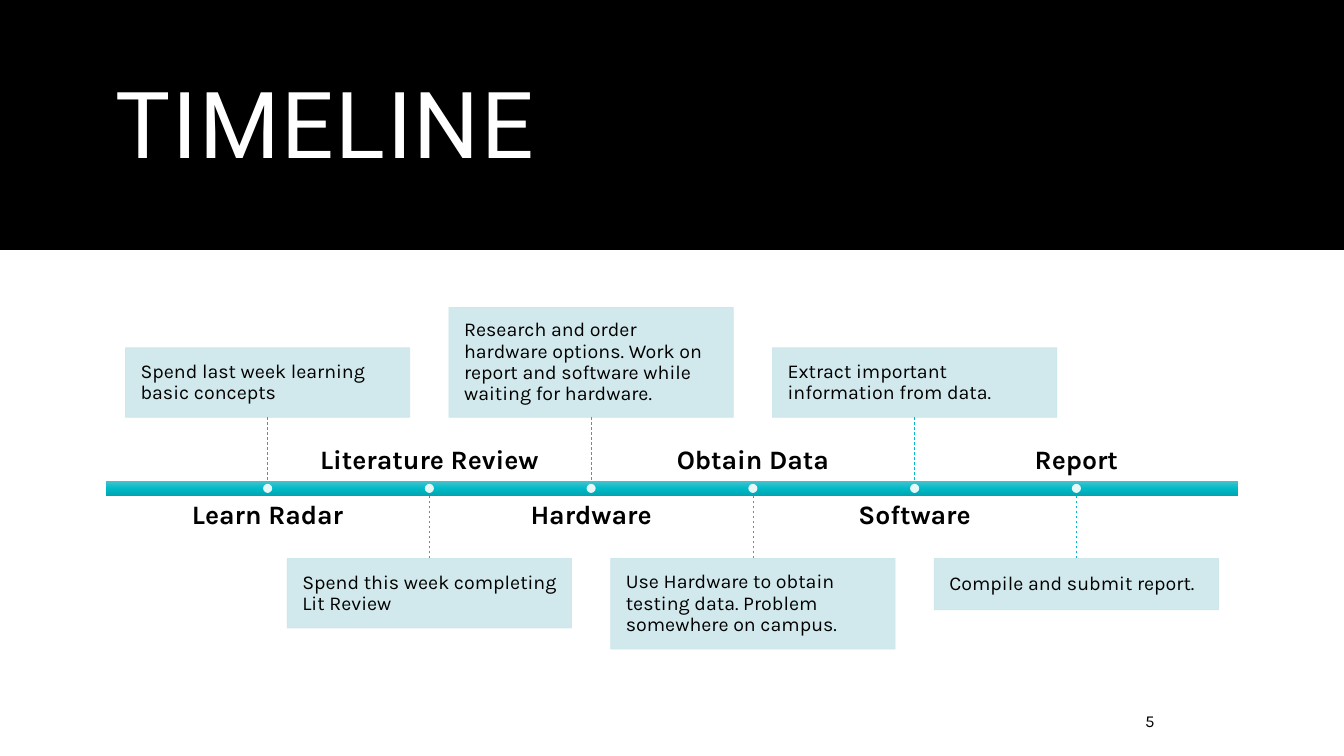
from copy import deepcopy

from pptx import Presentation
from pptx.dml.color import RGBColor
from pptx.enum.dml import MSO_LINE
from pptx.enum.shapes import MSO_CONNECTOR, MSO_SHAPE
from pptx.enum.text import MSO_ANCHOR, MSO_AUTO_SIZE, PP_ALIGN
from pptx.oxml.ns import qn
from pptx.oxml.xmlchemy import OxmlElement
from pptx.util import Inches, Pt

RECT, OVAL = MSO_SHAPE.RECTANGLE, MSO_SHAPE.OVAL
STRAIGHT, DASH = MSO_CONNECTOR.STRAIGHT, MSO_LINE.DASH
TOP, MIDDLE, BOTTOM = MSO_ANCHOR.TOP, MSO_ANCHOR.MIDDLE, MSO_ANCHOR.BOTTOM
LEFT, CENTER = PP_ALIGN.LEFT, PP_ALIGN.CENTER

BLACK = RGBColor(0x00, 0x00, 0x00)
WHITE = RGBColor(0xFF, 0xFF, 0xFF)
PALE = RGBColor(0xCC, 0xE7, 0xEB)
TEAL = RGBColor(0x00, 0xBA, 0xC7)
LIGHT = RGBColor(0x4B, 0xC2, 0xCF)
DARK = RGBColor(0x00, 0xA5, 0xB1)

BAR_X, BAR_Y, BAR_W, BAR_H = 1.05, 4.77, 11.23, 0.15
BOX_W, BOX_LOW, BOX_HIGH = 2.82, 5.54, 4.14  # top of low row, bottom of high row
NAME_W, NAME_H = 2.57, 0.42
DOT = 0.09

# Name, note, height of note box; notes alternate above and below the bar
STEPS = [
    ("Learn Radar", "Spend last week learning basic concepts", 0.69),
    ("Literature Review", "Spend this week completing Lit Review", 0.69),
    ("Hardware", "Research and order hardware options. Work on report "
     "and software while waiting for hardware.", 1.09),
    ("Obtain Data", "Use Hardware to obtain testing data. "
     "Problem somewhere on campus.", 0.9),
    ("Software", "Extract important information from data.", 0.69),
    ("Report", "Compile and submit report.", 0.51),
]


def set_alpha(fill, percent):
    """Make a solid fill partly transparent."""
    alpha = OxmlElement("a:alpha")
    alpha.set("val", str(percent * 1000))
    fill.find(qn("a:solidFill"))[0].append(alpha)


def add_block(slide, kind, x, y, w, h, color):
    block = slide.shapes.add_shape(kind, Inches(x), Inches(y), Inches(w), Inches(h))
    block.shadow.inherit = False
    block.fill.solid()
    block.fill.fore_color.rgb = color
    block.line.fill.background()
    return block


def set_text(shape, text, size, color=BLACK, font="Karla", bold=False,
             align=LEFT, anchor=MIDDLE, insets=(0.1, 0.05, 0.1, 0.05), spacing=0.9):
    frame = shape.text_frame
    frame.word_wrap = True
    frame.auto_size = MSO_AUTO_SIZE.NONE
    frame.vertical_anchor = anchor
    (frame.margin_left, frame.margin_top,
     frame.margin_right, frame.margin_bottom) = map(Inches, insets)
    para = frame.paragraphs[0]
    para.alignment = align
    para.line_spacing = spacing
    run = para.add_run()
    run.text = text
    run.font.name = font
    run.font.size = Pt(size)
    run.font.bold = bold
    run.font.color.rgb = color
    return run


def add_label(slide, x, y, w, h, text, size, **style):
    label = slide.shapes.add_textbox(Inches(x), Inches(y), Inches(w), Inches(h))
    set_text(label, text, size, **style)


def add_title(slide, text):
    title = slide.shapes.title
    title.left, title.top = Inches(1.05), Inches(0.35)
    title.width, title.height = Inches(11.23), Inches(1.86)
    run = set_text(title, text, 66, color=WHITE, font="Roboto")
    run.font._element.set("spc", "120")


def add_bar(slide):
    bar = add_block(slide, RECT, BAR_X, BAR_Y, BAR_W, BAR_H, TEAL)
    bar.fill.gradient()
    bar.fill.gradient_angle = 270
    stops = bar._element.spPr.find(".//" + qn("a:gsLst"))
    stops.insert(1, deepcopy(stops[0]))
    for stop, place, color in zip(bar.fill.gradient_stops, (0, 0.5, 1),
                                  (LIGHT, TEAL, DARK)):
        stop.position = place
        stop.color.rgb = color


def add_note(slide, mid, y, height, text):
    note = add_block(slide, RECT, mid - BOX_W / 2, y, BOX_W, height, PALE)
    note.line.color.rgb = PALE
    note.line.width = Pt(0.5)
    set_alpha(note._element.spPr, 90)
    set_alpha(note.line._ln, 90)
    set_text(note, text, 14, insets=(0.15, 0.15, 0.12, 0.15))
    return note


def add_link(slide, note, side, mid, y):
    link = slide.shapes.add_connector(STRAIGHT, Inches(mid), Inches(y),
                                      Inches(mid), Inches(y))
    link.begin_connect(note, side)
    link.end_x = link.begin_x
    link.line.color.rgb = TEAL
    link.line.width = Pt(0.5)
    link.line.dash_style = DASH
    link._element.spPr.append(OxmlElement("a:effectLst"))


def add_step(slide, index, name, text, height):
    mid = BAR_X + BAR_W / (len(STEPS) + 1) * (index + 1)
    above = index % 2 == 0
    if above:
        note_y, side, link_y = BOX_HIGH - height, 2, BAR_Y
        name_y, anchor = 4.98, TOP
    else:
        note_y, side, link_y = BOX_LOW, 0, BAR_Y + BAR_H
        name_y, anchor = 4.29, BOTTOM
    add_label(slide, mid - NAME_W / 2, name_y, NAME_W, NAME_H, name, 19, bold=True,
              align=CENTER, anchor=anchor, insets=(0, 0, 0, 0))
    note = add_note(slide, mid, note_y, height, text)
    add_link(slide, note, side, mid, link_y)
    dot = add_block(slide, OVAL, mid - DOT / 2, BAR_Y + (BAR_H - DOT) / 2,
                    DOT, DOT, WHITE)
    set_alpha(dot._element.spPr, 90)


def main():
    deck = Presentation()
    deck.slide_width, deck.slide_height = Inches(13.33), Inches(7.5)
    slide = deck.slides.add_slide(deck.slide_layouts[5])
    slide.background.fill.solid()
    slide.background.fill.fore_color.rgb = WHITE

    # Header band, placed behind the title
    band = add_block(slide, RECT, 0, 0, 13.33, 2.48, BLACK)
    slide.shapes.title._element.addprevious(band._element)
    add_title(slide, "TIMELINE")

    # Timeline
    add_bar(slide)
    for index, step in enumerate(STEPS):
        add_step(slide, index, *step)

    # Slide number
    add_label(slide, 11.26, 6.95, 1.02, 0.4, "5", 12, spacing=1.0)
    deck.save("out.pptx")


if __name__ == "__main__":
    main()
